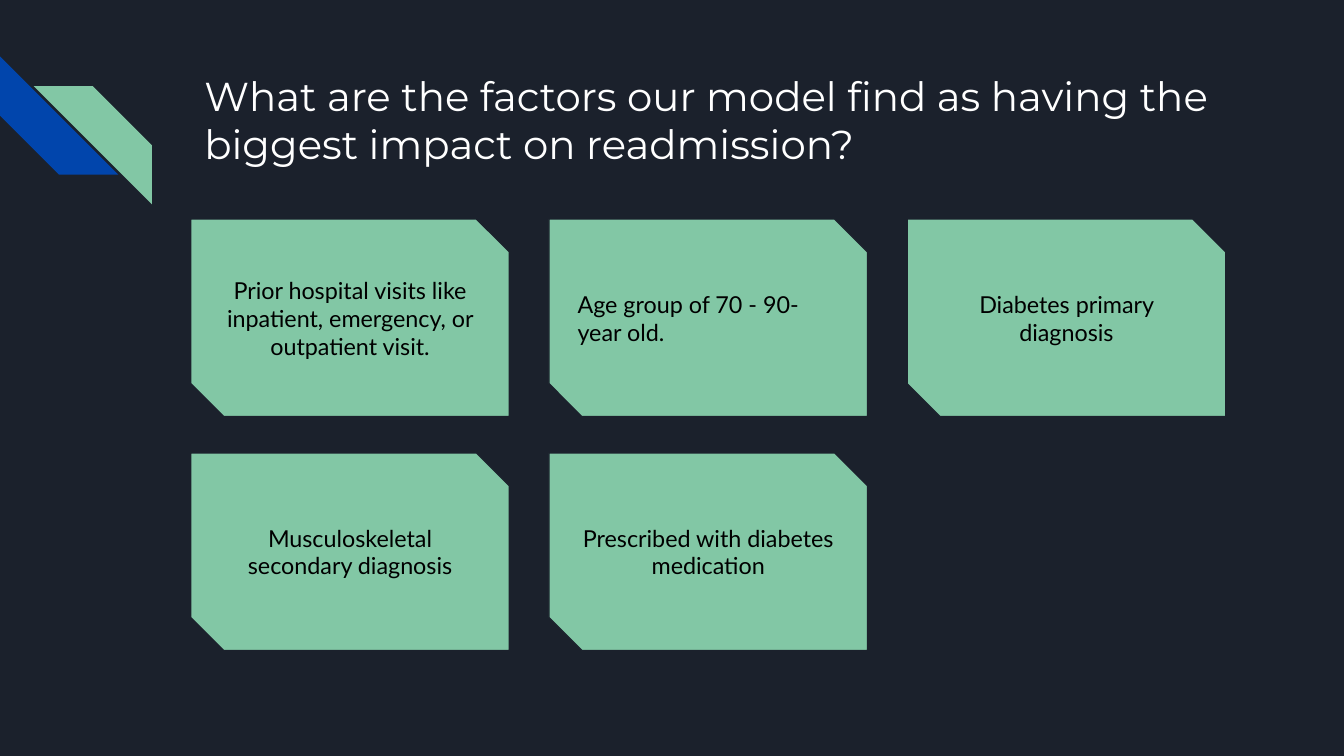
import pptx
import pptx.dml.color
import pptx.enum.shapes
import pptx.enum.text
import pptx.util

COLORS = {
    "background": "1B212C",
    "green": "82C7A5",
    "blue": "0145AC",
    "title": "FFFFFF",
    "text": "000000",
}
SHAPES = pptx.enum.shapes.MSO_SHAPE
ALIGN = pptx.enum.text.PP_ALIGN
ANCHOR = pptx.enum.text.MSO_ANCHOR
Inches = pptx.util.Inches

SLIDE_WIDTH = 10
SLIDE_HEIGHT = SLIDE_WIDTH * 9 / 16
GRID_LEFT, GRID_TOP, GRID_WIDTH = 1.42, 1.63, 7.7
CARD_WIDTH, CARD_HEIGHT = 2.37, 1.47
COLUMNS = 3
COLUMN_STEP = (GRID_WIDTH - CARD_WIDTH) / (COLUMNS - 1)
ROW_STEP = 1.74
STRIPE_SIZE = 0.88

FACTORS = [
    ("Prior hospital visits like inpatient, emergency, or outpatient visit.", ALIGN.CENTER),
    ("Age group of 70 - 90-year old.", ALIGN.LEFT),
    ("Diabetes primary diagnosis", ALIGN.CENTER),
    ("Musculoskeletal secondary diagnosis", ALIGN.CENTER),
    ("Prescribed with diabetes medication", ALIGN.CENTER),
]


def color(name):
    return pptx.dml.color.RGBColor.from_string(COLORS[name])


def write_text(shape, text, font, size, color_name, align, anchor, inset):
    frame = shape.text_frame
    frame.text = text
    frame.word_wrap = True
    frame.auto_size = pptx.enum.text.MSO_AUTO_SIZE.NONE
    frame.vertical_anchor = anchor
    frame.margin_left = frame.margin_right = Inches(inset)
    frame.margin_top = frame.margin_bottom = Inches(inset)
    paragraph = frame.paragraphs[0]
    paragraph.alignment = align
    paragraph.font.name = font
    paragraph.font.size = pptx.util.Pt(size)
    paragraph.font.color.rgb = color(color_name)


def add_filled_shape(slide, preset, left, top, width, height, fill):
    shape = slide.shapes.add_shape(
        preset, Inches(left), Inches(top), Inches(width), Inches(height))
    shape.shadow.inherit = False
    shape.fill.solid()
    shape.fill.fore_color.rgb = color(fill)
    shape.line.fill.background()
    return shape


def add_stripe(slide, left, top, rotation, fill):
    stripe = add_filled_shape(
        slide, SHAPES.DIAGONAL_STRIPE, left, top, STRIPE_SIZE, STRIPE_SIZE, fill)
    stripe.rotation = rotation


def add_title(slide, text):
    title = slide.shapes.title
    title.left, title.top = Inches(GRID_LEFT), Inches(0.43)
    title.width, title.height = Inches(GRID_WIDTH), Inches(1)
    write_text(title, text, "Montserrat", 21.6, "title", ALIGN.LEFT, ANCHOR.TOP, 0.1)


def add_card(slide, index, text, align):
    row, column = divmod(index, COLUMNS)
    card = add_filled_shape(
        slide, SHAPES.SNIP_2_DIAG_RECTANGLE,
        GRID_LEFT + column * COLUMN_STEP, GRID_TOP + row * ROW_STEP,
        CARD_WIDTH, CARD_HEIGHT, "green")
    card.line.color.rgb = color("background")
    card.line.width = pptx.util.Pt(0.67)
    write_text(card, text, "Lato", 12.5, "text", align, ANCHOR.MIDDLE, 0.09)


def main():
    presentation = pptx.Presentation()
    presentation.slide_width = Inches(SLIDE_WIDTH)
    presentation.slide_height = Inches(SLIDE_HEIGHT)
    slide = presentation.slides.add_slide(presentation.slide_layouts[5])
    slide.background.fill.solid()
    slide.background.fill.fore_color.rgb = color("background")

    add_stripe(slide, 0, 0.42, 270, "blue")
    add_stripe(slide, 0.25, 0.64, 90, "green")
    add_title(slide, "What are the factors our model find as having the "
                     "biggest impact on readmission?")
    for index, (text, align) in enumerate(FACTORS):
        add_card(slide, index, text, align)

    presentation.save("out.pptx")


if __name__ == "__main__":
    main()
